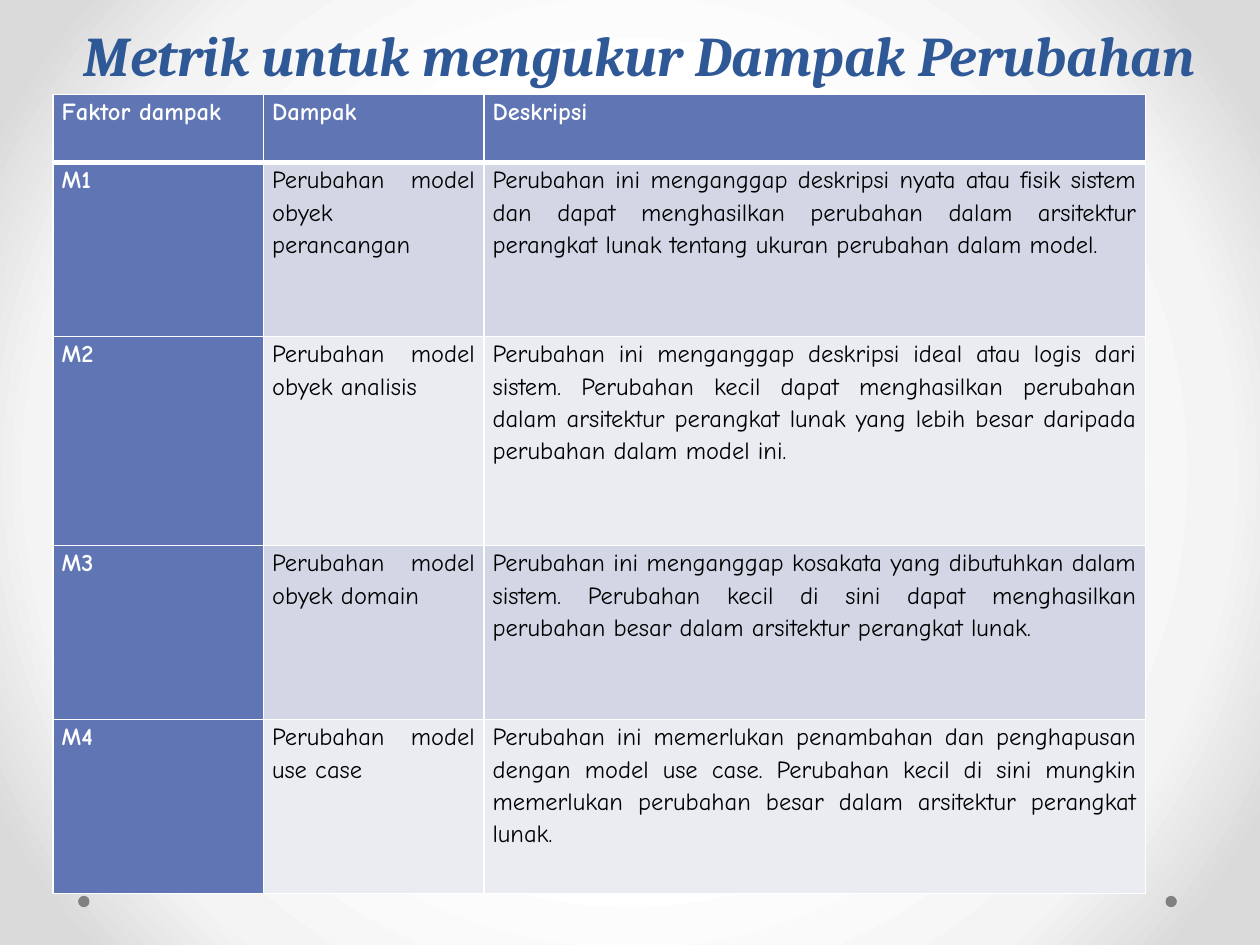
from typing import NamedTuple

from lxml.etree import SubElement
from pptx import Presentation
from pptx.dml.color import RGBColor
from pptx.enum.shapes import MSO_SHAPE
from pptx.enum.text import MSO_ANCHOR, MSO_AUTO_SIZE, PP_ALIGN
from pptx.oxml import parse_xml
from pptx.oxml.ns import nsdecls, qn
from pptx.util import Inches, Pt

WHITE = RGBColor(0xFF, 0xFF, 0xFF)
BLACK = RGBColor(0, 0, 0)
GRAY = RGBColor(0x80, 0x80, 0x80)
TITLE_BLUE = RGBColor(0x2F, 0x58, 0x97)
HEADER_BLUE = RGBColor(0x60, 0x76, 0xB4)
BAND_DARK = RGBColor(0xD2, 0xD6, 0xE5)
BAND_LIGHT = RGBColor(0xEA, 0xEC, 0xF2)
BACKGROUND_STOPS = [
    (50, WHITE),
    (76, RGBColor(0xF4, 0xF4, 0xF4)),
    (92, RGBColor(0xDA, 0xDA, 0xDA)),
]

COLUMN_WIDTHS = [1.67, 1.75, 5.25]
HEADER_HEIGHT = 0.54


class Metric(NamedTuple):
    factor: str
    impact: str
    description: str
    height: float = 1.38


HEADER = Metric("Faktor dampak", "Dampak", "Deskripsi", HEADER_HEIGHT)
METRICS = [
    Metric(
        "M1",
        "Perubahan model obyek perancangan",
        "Perubahan ini menganggap deskripsi nyata atau fisik sistem dan dapat "
        "menghasilkan perubahan dalam arsitektur perangkat lunak tentang ukuran "
        "perubahan dalam model.",
    ),
    Metric(
        "M2",
        "Perubahan model obyek analisis",
        "Perubahan ini menganggap deskripsi ideal atau logis dari sistem. "
        "Perubahan kecil dapat menghasilkan perubahan dalam arsitektur perangkat "
        "lunak yang lebih besar daripada perubahan dalam model ini.",
        1.66,
    ),
    Metric(
        "M3",
        "Perubahan model obyek domain",
        "Perubahan ini menganggap kosakata yang dibutuhkan dalam sistem. "
        "Perubahan kecil di sini dapat menghasilkan perubahan besar dalam "
        "arsitektur perangkat lunak.",
    ),
    Metric(
        "M4",
        "Perubahan model use case",
        "Perubahan ini memerlukan penambahan dan penghapusan dengan model use "
        "case. Perubahan kecil di sini mungkin memerlukan perubahan besar dalam "
        "arsitektur perangkat lunak.",
    ),
]


def set_radial_background(slide) -> None:
    stops = "".join(
        f'<a:gs pos="{position * 1000}"><a:srgbClr val="{color}"/></a:gs>'
        for position, color in BACKGROUND_STOPS
    )
    background = parse_xml(
        f'<p:bg {nsdecls("p", "a")}><p:bgPr><a:gradFill rotWithShape="1">'
        f'<a:gsLst>{stops}</a:gsLst><a:path path="circle">'
        '<a:fillToRect l="50000" t="50000" r="50000" b="50000"/></a:path>'
        "</a:gradFill><a:effectLst/></p:bgPr></p:bg>"
    )
    slide.element.cSld.insert(0, background)


def add_dot(slide, left: float) -> None:
    dot = slide.shapes.add_shape(
        MSO_SHAPE.OVAL, Inches(left), Inches(7.11), Inches(0.09), Inches(0.09)
    )
    dot.shadow.inherit = False
    dot.fill.solid()
    dot.fill.fore_color.rgb = GRAY
    dot.line.fill.background()


def set_title(slide, text: str) -> None:
    title = slide.shapes.title
    title.left, title.top = Inches(0.33), Inches(0)
    title.width, title.height = Inches(9.5), Inches(0.75)
    frame = title.text_frame
    frame.text = text
    frame.word_wrap = True
    frame.auto_size = MSO_AUTO_SIZE.NONE
    frame.vertical_anchor = MSO_ANCHOR.BOTTOM
    paragraph = frame.paragraphs[0]
    paragraph.alignment = PP_ALIGN.CENTER
    paragraph.line_spacing = Pt(58)
    font = paragraph.runs[0].font
    font.name, font.size = "Cambria", Pt(32)
    font.bold = font.italic = True
    font.color.rgb = TITLE_BLUE


def set_borders(cell, top: float, bottom: float) -> None:
    """Draw white borders; they must come before the fill in the cell XML."""
    properties = cell._tc.get_or_add_tcPr()
    widths = {"lnL": 1, "lnR": 1, "lnT": top, "lnB": bottom}
    for index, (tag, width) in enumerate(widths.items()):
        line = SubElement(properties, qn(f"a:{tag}"), w=str(Pt(width)))
        fill = SubElement(line, qn("a:solidFill"))
        SubElement(fill, qn("a:srgbClr"), val=str(WHITE))
        properties.insert(index, line)


def fill_cell(cell, text: str, color: RGBColor, emphasized: bool) -> None:
    cell.fill.solid()
    cell.fill.fore_color.rgb = color
    cell.margin_left = cell.margin_right = Inches(0.07)
    cell.margin_top = cell.margin_bottom = 0
    cell.text_frame.text = text
    paragraph = cell.text_frame.paragraphs[0]
    paragraph.alignment = PP_ALIGN.JUSTIFY
    paragraph.line_spacing = 1.15
    font = paragraph.runs[0].font
    font.name, font.size, font.bold = "Comic Neue", Pt(14), emphasized
    font.color.rgb = WHITE if emphasized else BLACK


def add_metric_table(slide, rows: list[Metric]) -> None:
    table = slide.shapes.add_table(
        len(rows), len(COLUMN_WIDTHS), Inches(0.42), Inches(0.75),
        Inches(sum(COLUMN_WIDTHS)), Inches(sum(row.height for row in rows)),
    ).table
    table.first_col = True
    for column, width in zip(table.columns, COLUMN_WIDTHS):
        column.width = Inches(width)
    for row_index, row in enumerate(rows):
        table.rows[row_index].height = Inches(row.height)
        band = BAND_DARK if row_index % 2 else BAND_LIGHT
        texts = (row.factor, row.impact, row.description)
        for column_index, text in enumerate(texts):
            cell = table.cell(row_index, column_index)
            emphasized = row_index == 0 or column_index == 0
            fill_cell(cell, text, HEADER_BLUE if emphasized else band, emphasized)
            set_borders(
                cell,
                top=3 if row_index == 1 else 1,
                bottom=3 if row_index == 0 else 1,
            )


def main() -> None:
    presentation = Presentation()
    presentation.slide_width, presentation.slide_height = Inches(10), Inches(7.5)
    slide = presentation.slides.add_slide(presentation.slide_layouts[5])
    set_radial_background(slide)
    for left in (9.25, 0.62):
        add_dot(slide, left)
    set_title(slide, "Metrik untuk mengukur Dampak Perubahan")
    add_metric_table(slide, [HEADER, *METRICS])
    presentation.save("out.pptx")


if __name__ == "__main__":
    main()
